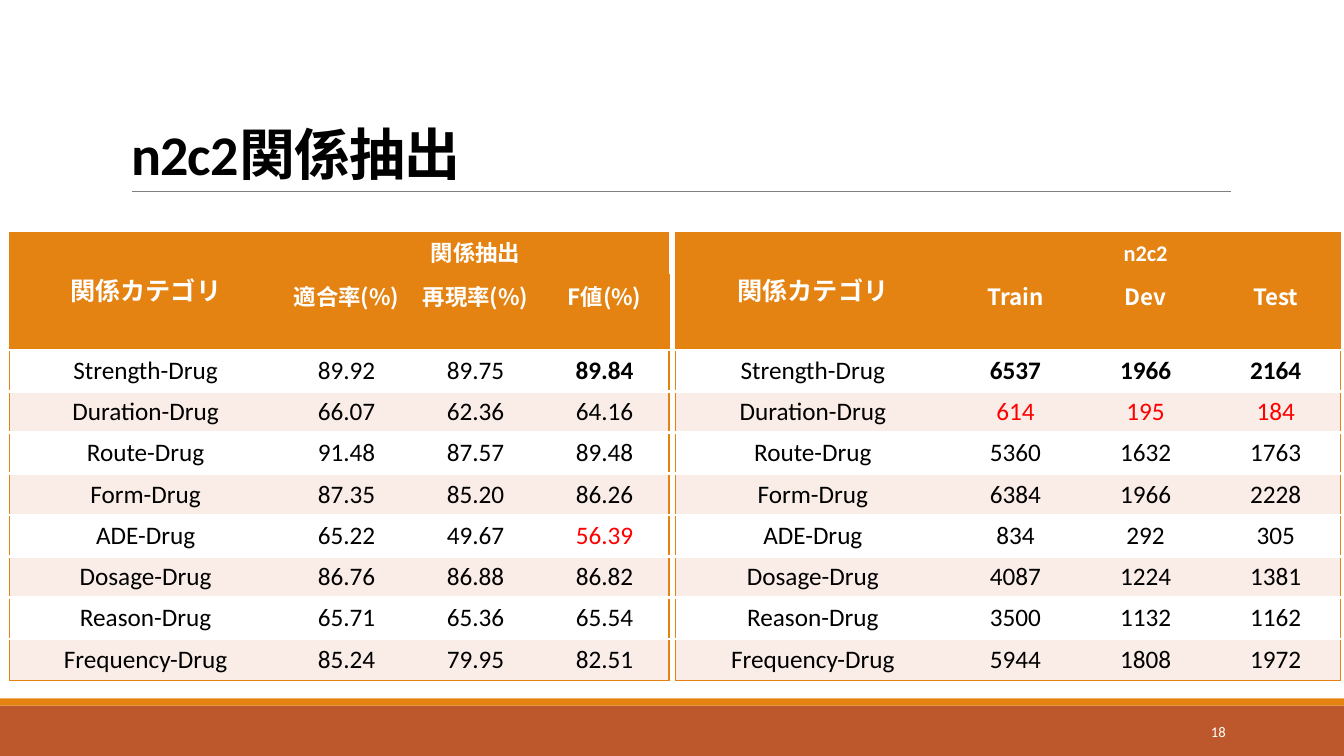
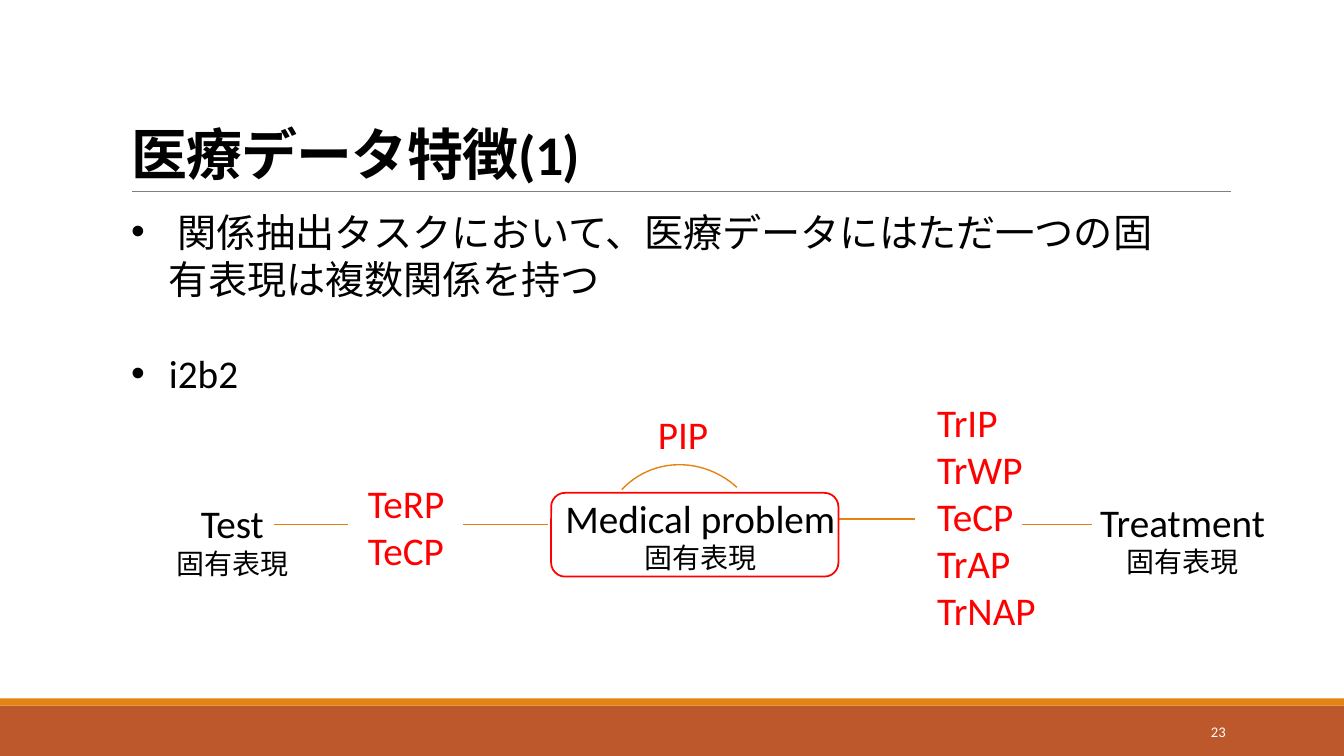
from lxml import etree
from pptx import Presentation
from pptx.dml.color import RGBColor
from pptx.enum.shapes import MSO_CONNECTOR, MSO_SHAPE
from pptx.enum.text import MSO_ANCHOR as ANCHOR, MSO_AUTO_SIZE as AUTO, PP_ALIGN as ALIGN
from pptx.oxml.ns import qn
from pptx.util import Cm, Pt

ORANGE, RUST, PINK = "E48312", "BD582C", "FAEDE7"
WHITE, BLACK, GRAY, RED = "FFFFFF", "000000", "808080", "FF0000"
LATIN, CJK = "Calibri", "Noto Sans CJK JP"
TITLE_ONLY, TITLE_AND_BODY = 5, 1

RELATIONS = ["Strength-Drug", "Duration-Drug", "Route-Drug", "Form-Drug",
             "ADE-Drug", "Dosage-Drug", "Reason-Drug", "Frequency-Drug"]
SCORES = [["89.92", "89.75", "89.84"], ["66.07", "62.36", "64.16"],
          ["91.48", "87.57", "89.48"], ["87.35", "85.20", "86.26"],
          ["65.22", "49.67", "56.39"], ["86.76", "86.88", "86.82"],
          ["65.71", "65.36", "65.54"], ["85.24", "79.95", "82.51"]]
COUNTS = [["6537", "1966", "2164"], ["614", "195", "184"],
          ["5360", "1632", "1763"], ["6384", "1966", "2228"],
          ["834", "292", "305"], ["4087", "1224", "1381"],
          ["3500", "1132", "1162"], ["5944", "1808", "1972"]]


def rgb(value):
    return RGBColor.from_string(value)


def box(*lengths):
    return [Cm(v) for v in lengths]


def write(p, text, size=28, color=BLACK, bold=False, font=LATIN, align=ALIGN.LEFT, spacing=None):
    """Add a formatted run, with one font for Latin and East Asian text."""
    p.alignment = align
    r = p.add_run()
    r.text = text
    f = r.font
    f.size, f.bold, f.name = Pt(size), bold, font
    f.color.rgb = rgb(color)
    rPr = r._r.get_or_add_rPr()
    etree.SubElement(rPr, qn("a:ea")).set("typeface", font)
    if spacing is not None:
        rPr.set("spc", str(spacing))


def set_border(cell, side, color=None, width=1):
    """Draw one cell edge, or hide it when no colour is given."""
    ln = etree.SubElement(cell._tc.get_or_add_tcPr(), qn("a:ln" + side))
    if color:
        ln.set("w", str(Pt(width)))
        fill = etree.SubElement(ln, qn("a:solidFill"))
        etree.SubElement(fill, qn("a:srgbClr")).set("val", color)
    else:
        etree.SubElement(ln, qn("a:noFill"))


class Deck:
    def __init__(self):
        self.prs = Presentation()
        self.prs.slide_width, self.prs.slide_height = box(33.87, 19.05)
        self.s = None

    # Shared frame: bands, rule, title and page number
    def new_slide(self, layout, title_runs, number):
        self.s = self.prs.slides.add_slide(self.prs.slide_layouts[layout])
        self.shape(MSO_SHAPE.RECTANGLE, 0, 17.78, 33.87, 1.27, fill=RUST)
        self.shape(MSO_SHAPE.RECTANGLE, 0, 17.6, 33.87, 0.18, fill=ORANGE)
        self.line(3.33, 31.01, 4.83, color=GRAY, width=0.5)
        title = self.place(self.s.shapes.title, 3.05, 0.79, 27.94, 4.04)
        tf = title.text_frame
        tf.vertical_anchor, tf.auto_size = ANCHOR.BOTTOM, AUTO.NONE
        p = tf.paragraphs[0]
        p.line_spacing = 0.85
        for text, font in title_runs:
            write(p, text, size=40, bold=True, font=font, spacing=-50)
        self.text([number], 27.51, 17.93, 3.63, 1.02, anchor=ANCHOR.MIDDLE,
                  size=10.5, color=WHITE, align=ALIGN.RIGHT)

    def place(self, sp, *at):
        sp.left, sp.top, sp.width, sp.height = box(*at)
        return sp

    def shape(self, kind, *at, fill=None, line=None, width=1):
        sp = self.s.shapes.add_shape(kind, *box(*at))
        sp.shadow.inherit = False
        if fill:
            sp.fill.solid()
            sp.fill.fore_color.rgb = rgb(fill)
        else:
            sp.fill.background()
        if line:
            sp.line.color.rgb = rgb(line)
            sp.line.width = Pt(width)
        else:
            sp.line.fill.background()
        return sp

    def line(self, x1, x2, y, color=ORANGE, width=1):
        c = self.s.shapes.add_connector(MSO_CONNECTOR.STRAIGHT, *box(x1, y, x2, y))
        c.line.color.rgb = rgb(color)
        c.line.width = Pt(width)
        etree.SubElement(c._element.spPr, qn("a:effectLst"))

    def text(self, lines, *at, anchor=ANCHOR.TOP, sizes=None, **style):
        tf = self.s.shapes.add_textbox(*box(*at)).text_frame
        tf.word_wrap, tf.vertical_anchor = True, anchor
        for i, line in enumerate(lines):
            p = tf.paragraphs[0] if i == 0 else tf.add_paragraph()
            if sizes:
                style["size"] = sizes[i]
            write(p, line, **style)

    def entity(self, name, *at):
        self.text([name, "固有表現"], *at, sizes=[28, 20], align=ALIGN.CENTER)

    def bullets(self, items, *at, gap):
        tf = self.place(self.s.placeholders[1], *at).text_frame
        tf.auto_size = AUTO.NONE
        for i, item in enumerate(items):
            p = tf.paragraphs[0] if i == 0 else tf.add_paragraph()
            p.space_before = Pt(gap if i else 0)
            write(p, item)

    def table(self, left, first_col, other_col, group, heads, values, marks):
        rows = [["関係カテゴリ", group, "", ""], ["", *heads]]
        rows += [[name, *row] for name, row in zip(RELATIONS, values)]
        widths = [first_col] + [other_col] * 3
        heights = [1.04, 1.91] + [1.04] * len(values)
        t = self.s.shapes.add_table(len(rows), len(widths), *box(
            left, 5.87, sum(widths), sum(heights))).table
        t.first_row = t.horz_banding = False
        for column, width in zip(t.columns, widths):
            column.width = Cm(width)
        for row, height in zip(t.rows, heights):
            row.height = Cm(height)
        t.cell(0, 0).merge(t.cell(1, 0))
        t.cell(0, 1).merge(t.cell(0, 3))
        for r, row in enumerate(rows):
            for c, text in enumerate(row):
                self.cell(t.cell(r, c), text, r, c, len(rows) - 1, marks.get((r - 2, c), {}))

    def cell(self, cell, text, r, c, last, mark):
        head = r < 2
        # Orange frame, white rules between rows
        set_border(cell, "L", ORANGE if c == 0 else None)
        set_border(cell, "R", ORANGE if c == 3 else None)
        for side, plain in (("T", head), ("B", r == last or (r == 0 and c > 0))):
            set_border(cell, side, *((ORANGE, 1) if plain else (WHITE, 2.25)))
        cell.fill.solid()
        cell.fill.fore_color.rgb = rgb(ORANGE if head else PINK if r % 2 else WHITE)
        cell.vertical_anchor = ANCHOR.TOP if r == 1 else ANCHOR.MIDDLE
        if text:
            style = dict(size=16 if head and c else 18, bold=head,
                         color=WHITE if head else BLACK, font=CJK if r == 1 else LATIN)
            write(cell.text_frame.paragraphs[0], text, align=ALIGN.CENTER, **{**style, **mark})


def main():
    deck = Deck()
    bold, red = {"bold": True}, {"color": RED}

    # Relation extraction scores and data counts
    deck.new_slide(TITLE_ONLY, [("n2c2", LATIN), ("関係抽出", CJK)], "18")
    deck.table(0.23, 6.88, 3.25, "関係抽出", ["適合率(%)", "再現率(%)", "F値(%)"],
               SCORES, {(0, 3): bold, (4, 3): red})
    deck.table(17.02, 6.93, 3.28, "n2c2", ["Train", "Dev", "Test"], COUNTS,
               {(r, c): m for r, m in enumerate([bold, red]) for c in (1, 2, 3)})

    # Entities and their relations
    deck.new_slide(TITLE_AND_BODY, [("医療データ特徴", CJK), ("(1)", LATIN)], "23")
    deck.bullets([" 関係抽出タスクにおいて、医療データにはただ一つの固有表現は複数関係を持つ", "i2b2"],
                 3.05, 5.11, 27.15, 5.05, gap=34)
    deck.entity("Medical problem", 13.84, 12.32, 7.62, 2.31)
    deck.entity("Treatment", 27.41, 12.42, 4.78, 2.31)
    deck.entity("Test", 2.03, 12.45, 7.65, 2.31)
    deck.text(["TeRP", "TeCP"], 9.02, 11.96, 3.33, 2.64, color=RED)
    deck.text(["TrIP", "TrWP", "TeCP", "TrAP", "TrNAP"], 23.37, 9.91, 4.04, 6.25, color=RED)
    deck.text(["PIP"], 16.33, 10.21, 3.28, 1.45, color=RED)
    for x1, x2, y in [(6.91, 8.76, 13.21), (11.68, 13.82, 13.21),
                      (21.11, 23.06, 13.08), (25.76, 27.51, 13.21)]:
        deck.line(x1, x2, y)
    arc = deck.shape(MSO_SHAPE.ARC, 15.21, 11.66, 4.01, 4.19, line=ORANGE)
    arc.rotation = 312.6
    deck.shape(MSO_SHAPE.ROUNDED_RECTANGLE, 13.89, 12.42, 7.24, 2.11, line=RED, width=1.25)

    deck.prs.save("out.pptx")


if __name__ == "__main__":
    main()
